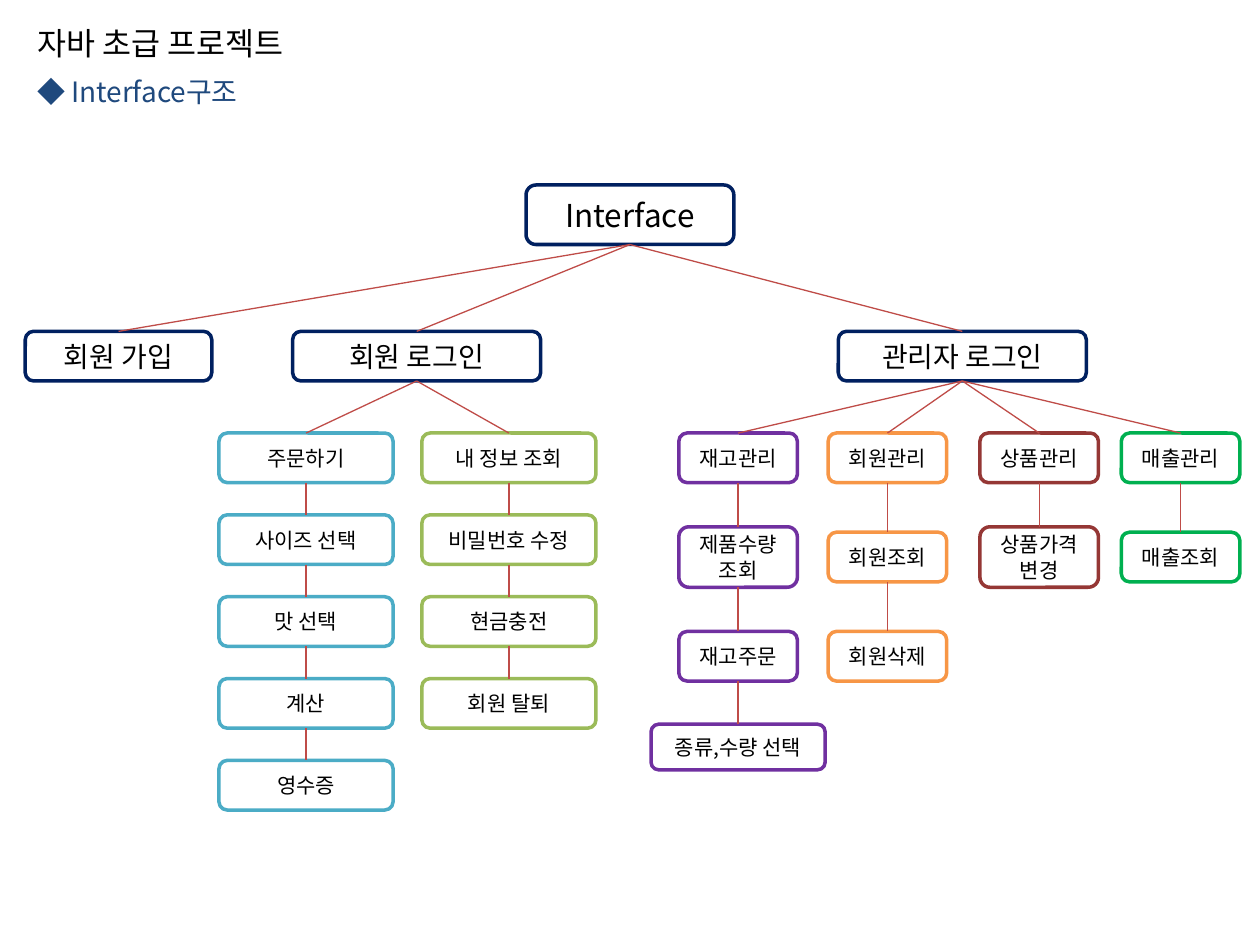
from dataclasses import dataclass
from itertools import pairwise

from lxml import etree
from pptx import Presentation
from pptx import util as u
from pptx.dml.color import RGBColor
from pptx.enum import shapes, text
from pptx.oxml.ns import qn

FONT = "Noto Sans CJK KR"
NAVY, RED, WHITE, BLACK, BLUE = "002060", "BF4C48", "FFFFFF", "000000", "1F497D"
TOP, BOTTOM = 0, 2  # connection sites of a rounded rectangle


@dataclass
class Box:
    """A rounded box placed by its centre, in cm."""
    label: str
    x: float
    y: float
    width: float
    color: str
    height: float = 1.0
    size: int = 12


@dataclass
class Branch:
    """A column of boxes below one login; all lengths in cm."""
    x: float
    width: float
    color: str
    step: float
    labels: list[str]


def rgb(value: str) -> RGBColor:
    return RGBColor.from_string(value)


def write(shape, words: str, size: int, color: str, align, frame_format: dict) -> None:
    frame = shape.text_frame
    for name, value in frame_format.items():
        setattr(frame, name, value)
    paragraph = frame.paragraphs[0]
    paragraph.alignment = align
    run = paragraph.add_run()
    run.text = words
    run.font.color.rgb = rgb(color)
    for name, value in {"name": FONT, "size": u.Pt(size)}.items():
        setattr(run.font, name, value)
    etree.SubElement(run.font._element, qn("a:ea"), typeface=FONT)


def place(shape, left: float, top: float, width: float, height: float) -> None:
    bounds = {"left": left, "top": top, "width": width, "height": height}
    for name, value in bounds.items():
        setattr(shape, name, u.Cm(value))


def draw_box(slide, box: Box):
    shape = slide.shapes.add_shape(
        shapes.MSO_SHAPE.ROUNDED_RECTANGLE,
        u.Cm(box.x - box.width / 2), u.Cm(box.y - box.height / 2),
        u.Cm(box.width), u.Cm(box.height))
    shape.shadow.inherit = False
    shape.fill.solid()
    shape.fill.fore_color.rgb = rgb(WHITE)
    shape.line.color.rgb = rgb(box.color)
    shape.line.width = u.Pt(2)
    write(shape, box.label, box.size, BLACK, text.PP_ALIGN.CENTER,
          {"word_wrap": True, "vertical_anchor": text.MSO_ANCHOR.MIDDLE})
    return shape


def link(slide, parent, child) -> None:
    line = slide.shapes.add_connector(shapes.MSO_CONNECTOR.STRAIGHT, 0, 0, 0, 0)
    line.begin_connect(parent, BOTTOM)
    line.end_connect(child, TOP)
    line.line.color.rgb = rgb(RED)
    line.line.width = u.Pt(0.75)
    etree.SubElement(line._element.spPr, qn("a:effectLst"))


def draw_branch(slide, login, branch: Branch) -> None:
    chain = [login]
    for row, label in enumerate(branch.labels):
        box = Box(label, branch.x, 9.23 + row * branch.step, branch.width, branch.color)
        if label in TWO_LINE:
            box.height = 1.22
        elif label == STOCK_CHOICE:
            box.y, box.width, box.height = 15.06, 3.51, 0.92
        chain.append(draw_box(slide, box))
    for parent, child in pairwise(chain):
        link(slide, parent, child)


STOCK_CHOICE = "종류,수량 선택"
TWO_LINE = {"제품수량 조회", "상품가격 변경"}

ROOT = Box("Interface", 12.7, 4.33, 4.19, NAVY, 1.2, 18)
SIGN_UP = Box("회원 가입", 2.39, 7.18, 3.76, NAVY, size=16)
MEMBER_LOGIN = Box("회원 로그인", 8.4, 7.18, 5, NAVY, size=16)
ADMIN_LOGIN = Box("관리자 로그인", 19.4, 7.18, 5, NAVY, size=16)

MEMBER_BRANCHES = [
    Branch(6.17, 3.51, "4BACC6", 1.65, ["주문하기", "사이즈 선택", "맛 선택", "계산", "영수증"]),
    Branch(10.26, 3.51, "9BBB59", 1.65, ["내 정보 조회", "비밀번호 수정", "현금충전", "회원 탈퇴"]),
]
ADMIN_BRANCHES = [
    Branch(14.88, 2.39, "7030A0", 2, ["재고관리", "제품수량 조회", "재고주문", STOCK_CHOICE]),
    Branch(17.89, 2.39, "F79646", 2, ["회원관리", "회원조회", "회원삭제"]),
    Branch(20.95, 2.39, "953735", 2, ["상품관리", "상품가격 변경"]),
    Branch(23.8, 2.39, "00B050", 2, ["매출관리", "매출조회"]),
]


def main() -> None:
    deck = Presentation()
    deck.slide_width, deck.slide_height = u.Cm(25.4), u.Cm(19.05)
    slide = deck.slides.add_slide(deck.slide_layouts[5])

    # Headings
    heading_format = {"word_wrap": True, "vertical_anchor": text.MSO_ANCHOR.TOP,
                      "auto_size": text.MSO_AUTO_SIZE.SHAPE_TO_FIT_TEXT}
    title = slide.shapes.title
    place(title, 0.5, 0.36, 6.1, 1.02)
    write(title, "자바 초급 프로젝트", 18, BLACK, text.PP_ALIGN.LEFT, heading_format)
    subtitle = slide.shapes.add_textbox(0, 0, 0, 0)
    place(subtitle, 0.5, 1.37, 8, 0.94)
    write(subtitle, "◆ Interface구조", 16, BLUE, text.PP_ALIGN.LEFT, heading_format)

    # Root and the three entry points
    root = draw_box(slide, ROOT)
    sign_up, member, admin = [draw_box(slide, box)
                              for box in (SIGN_UP, MEMBER_LOGIN, ADMIN_LOGIN)]
    for entry in (sign_up, member, admin):
        link(slide, root, entry)

    # Menus below each login
    for login, branches in ((member, MEMBER_BRANCHES), (admin, ADMIN_BRANCHES)):
        for branch in branches:
            draw_branch(slide, login, branch)

    deck.save("out.pptx")


if __name__ == "__main__":
    main()
